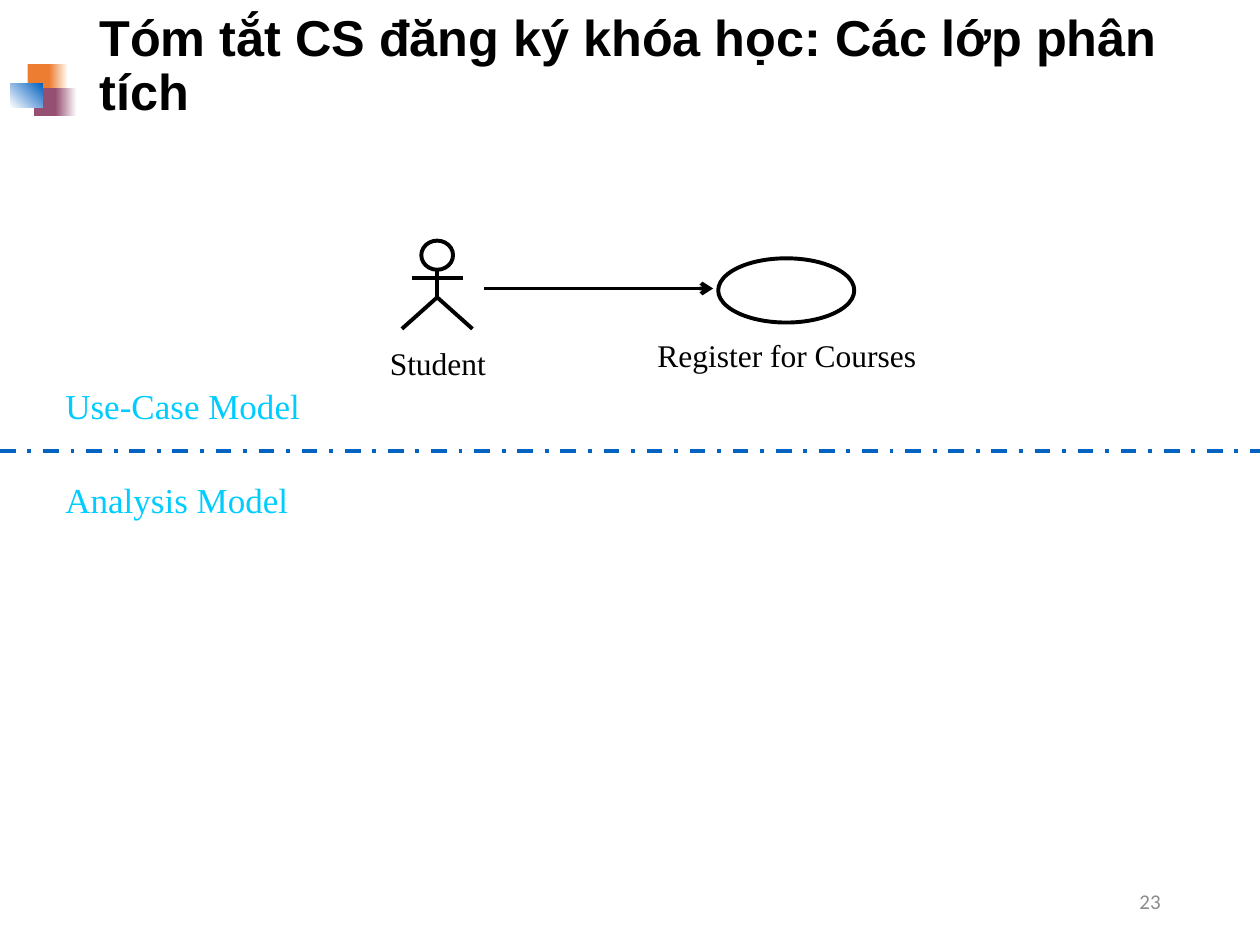
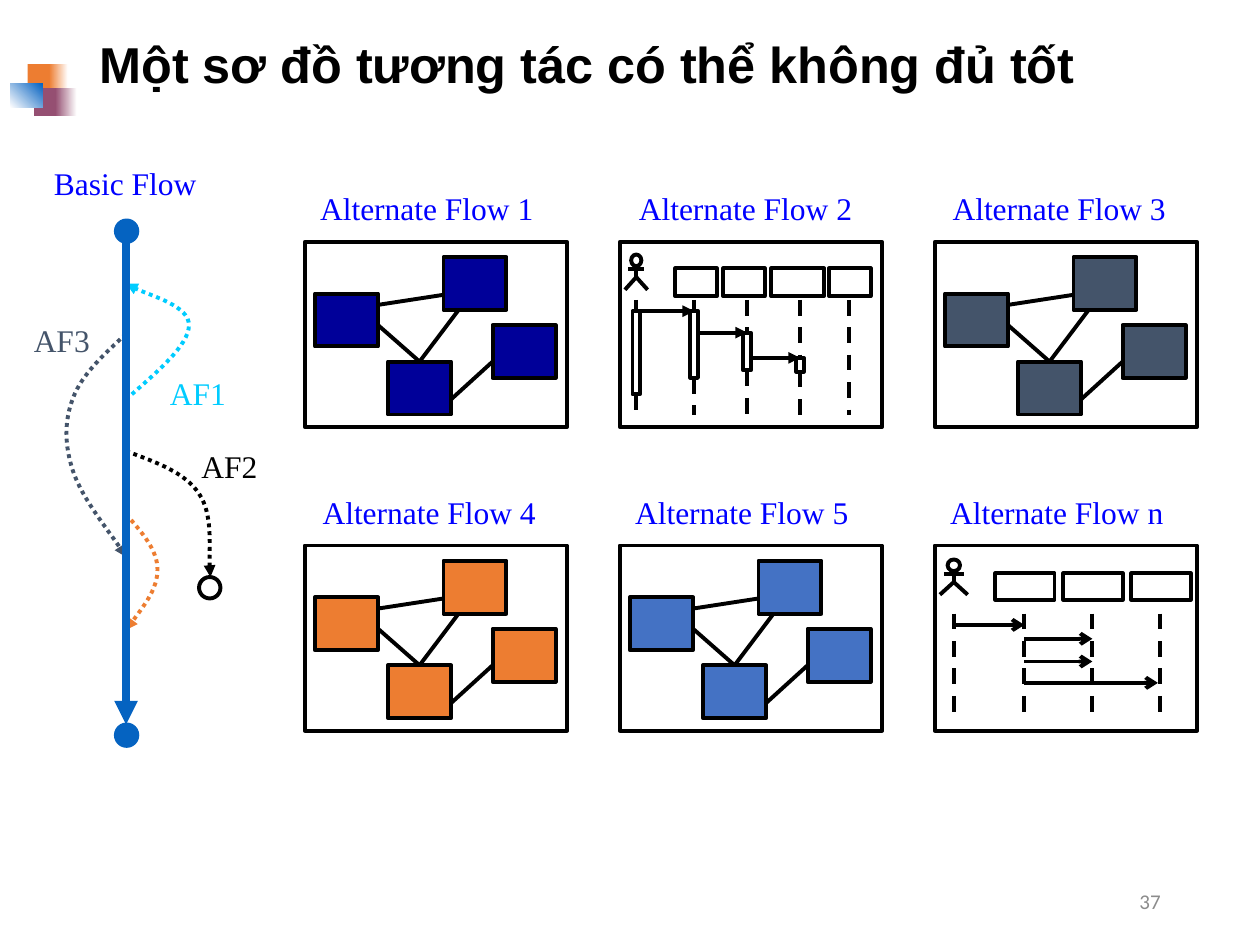
from lxml import etree
from pptx import Presentation
from pptx.dml.color import RGBColor
from pptx.enum.dml import MSO_LINE
from pptx.enum.shapes import MSO_CONNECTOR, MSO_SHAPE
from pptx.enum.text import MSO_ANCHOR, PP_ALIGN
from pptx.oxml.ns import qn
from pptx.util import Pt

RECT, OVAL = MSO_SHAPE.RECTANGLE, MSO_SHAPE.OVAL
STRAIGHT = MSO_CONNECTOR.STRAIGHT
DASH, DOTS, CHAIN = MSO_LINE.DASH, MSO_LINE.ROUND_DOT, MSO_LINE.DASH_DOT
LEFT, MID, RIGHT = PP_ALIGN.LEFT, PP_ALIGN.CENTER, PP_ALIGN.RIGHT
TOP, CENTRE = MSO_ANCHOR.TOP, MSO_ANCHOR.MIDDLE
PX = 9144
ABOVE, BELOW = 0, 2
SERIF = "Times New Roman"
INK = {
    "black": "000000", "white": "FFFFFF", "blue": "0563C1", "plum": "954F72",
    "orange": "ED7D31", "sky": "00CCFF", "label": "0000FF", "grey": "8C8C8C",
    "slate": "44546A", "navy": "000099", "steel": "4472C4",
}


def px(*sizes):
    """Turn px lengths into EMU."""
    return [round(size * PX) for size in sizes]


def tint(name):
    """Return a named colour."""
    return RGBColor.from_string(INK[name])


def put(item, **values):
    """Set each given attribute on an item."""
    for name, value in values.items():
        setattr(item, name, value)


def stroke(shape, ink="black", width=2.25, dash=None, head=None):
    """Style an outline, with an optional arrowhead at its end."""
    shape.line.color.rgb = tint(ink)
    put(shape.line, width=Pt(width), dash_style=dash)
    if head:
        ln = shape.element.spPr.find(qn("a:ln"))
        etree.SubElement(ln, qn("a:tailEnd"), type=head)


def form(slide, kind, box, fill=None, ink="black"):
    """Add a preset shape with an optional fill and outline."""
    shape = slide.shapes.add_shape(kind, *px(*box))
    shape.shadow.inherit = False
    if fill:
        shape.fill.solid()
        shape.fill.fore_color.rgb = tint(fill)
    else:
        shape.fill.background()
    if ink:
        stroke(shape, ink)
    else:
        shape.line.fill.background()
    return shape


def fade(slide, box, inks, angle=0):
    """Add a rectangle with a two-colour gradient."""
    shape = form(slide, RECT, box, ink=None)
    shape.fill.gradient()
    shape.fill.gradient_angle = angle
    for stop, ink, place in zip(shape.fill.gradient_stops, inks, (0, 1)):
        stop.color.rgb = tint(ink)
        stop.position = place


def link(slide, ends, start=None, stop=None, **style):
    """Add a straight line, joined to shapes where they are given."""
    line = slide.shapes.add_connector(STRAIGHT, *px(*ends))
    if start:
        line.begin_connect(*start)
    if stop:
        line.end_connect(*stop)
    stroke(line, **style)
    etree.SubElement(line.element.spPr, qn("a:effectLst"))


def trace(slide, points, curved=False, **style):
    """Add an open outline through points, or through Bezier controls."""
    pen = slide.shapes.build_freeform(*points[0], scale=PX)
    pen.add_line_segments(points[1:], close=False)
    shape = pen.convert_to_shape()
    shape.shadow.inherit = False
    shape.fill.background()
    if curved:
        trail = shape.element.find(".//" + qn("a:path"))
        steps = trail.findall(qn("a:lnTo"))
        for first in range(0, len(steps), 3):
            bend = etree.SubElement(trail, qn("a:cubicBezTo"))
            for step in steps[first:first + 3]:
                bend.append(step[0])
                trail.remove(step)
    stroke(shape, **style)


def text(slide, box, words, size=18, ink="black", face=SERIF, bold=False,
         align=LEFT, anchor=TOP, wrap=True, inset=True, pitch=None):
    """Add a text box with one paragraph."""
    frame = slide.shapes.add_textbox(*px(*box)).text_frame
    put(frame, word_wrap=wrap, vertical_anchor=anchor)
    if not inset:
        put(frame, margin_left=0, margin_top=0, margin_right=0, margin_bottom=0)
    para = frame.paragraphs[0]
    put(para, alignment=align, line_spacing=pitch)
    run = para.add_run()
    run.text = words
    put(run.font, size=Pt(size), name=face, bold=bold)
    run.font.color.rgb = tint(ink)


def badge(slide, x, y):
    """Draw the overlapping squares beside the title."""
    form(slide, RECT, (x + 14, y, 20, 22), "orange", None)
    fade(slide, (x + 31, y, 15, 22), ("orange", "white"))
    form(slide, RECT, (x + 19, y + 19, 19, 22), "plum", None)
    fade(slide, (x + 36, y + 19, 17, 22), ("plum", "white"))
    fade(slide, (x, y + 15, 26, 19), ("white", "blue"), 45)


def page(deck, title, number):
    """Add a slide with badge, title and number."""
    slide = deck.slides.add_slide(deck.slide_layouts[6])
    badge(slide, 8, 51)
    text(slide, (69, 13, 862, 81), title, 28.8, face="Arial", bold=True,
         anchor=CENTRE, pitch=0.9)
    text(slide, (706, 695, 225, 40), number, 12, "grey", "Calibri",
         align=RIGHT, anchor=CENTRE)
    return slide


def actor(slide, x, y, w, h):
    """Draw a stick figure that fills a box."""
    mid, neck, waist = x + w / 2, y + h * 0.33, y + h * 0.64
    arm, reach = y + h * 0.42, w * 0.36
    form(slide, OVAL, (mid - w * 0.225, y, w * 0.45, h * 0.33))
    link(slide, (mid, neck, mid, waist))
    link(slide, (mid - reach, arm, mid + reach, arm))
    trace(slide, [(x, y + h), (mid, waist), (x + w, y + h)])


def cases(slide, x, y):
    """Draw the student and the use case."""
    link(slide, (x + 92, y + 38, x + 274, y + 38), head="arrow")
    actor(slide, x + 27, y, 56, 70)
    text(slide, (x, y + 77, 111, 40), "Student", align=MID)
    form(slide, OVAL, (x + 278, y + 14, 108, 51))
    text(slide, (x + 190, y + 71, 285, 40), "Register for Courses", align=MID)


def models(slide, x, y):
    """Divide the use-case model from the analysis model."""
    for top, words in ((0, "Use-Case Model"), (75, "Analysis Model")):
        text(slide, (x, y + top, 275, 43), words, 20, "sky")
    link(slide, (0, y + 58, 1000, y + 58), ink="blue", dash=CHAIN)


def basic(slide, x, y):
    """Draw the basic flow and its branches from a top centre point."""
    bends = (
        ("slate", [(0, 90), (-17, 106), (-35, 122), (-42, 141), (-49, 159),
                   (-49, 178), (-42, 199), (-35, 220), (-7, 255), (0, 267)]),
        ("orange", [(0, 233), (12, 247), (25, 261), (25, 277),
                    (25, 292), (12, 309), (0, 325)]),
        ("sky", [(0, 142), (25, 120), (50, 99), (50, 83),
                 (50, 68), (8, 56), (0, 50)]),
        ("black", [(0, 183), (24, 192), (47, 200), (58, 217),
                   (69, 233), (65, 272), (67, 283)]),
    )
    for ink, points in bends:
        trace(slide, [(x + dx, y + dy) for dx, dy in points], True,
              ink=ink, dash=DOTS, head="triangle")
    for top in (0, 400):
        form(slide, OVAL, (x - 8, y + top, 17, 17), "blue", "blue")
    form(slide, OVAL, (x + 58, y + 283, 17, 17))
    tags = ((25, 117, 66, "AF1", "sky"), (50, 175, 66, "AF2", "black"),
            (-83, 75, 66, "AF3", "slate"), (-67, -50, 141, "Basic Flow", "label"))
    for dx, dy, w, words, ink in tags:
        text(slide, (x + dx, y + dy, w, 40), words, ink=ink, wrap=False)
    link(slide, (x, y + 17, x, y + 400), ink="blue", width=4.5, head="triangle")


def net(slide, x, y, fill):
    """Draw linked nodes in one colour."""
    spots = ((8, 41), (66, 95), (149, 66), (110, 12))
    nodes = [form(slide, RECT, (x + dx, y + dy, 50, 42), fill) for dx, dy in spots]
    hub = (nodes[1], ABOVE)
    link(slide, (x + 58, y + 66, x + 91, y + 95), stop=hub)
    link(slide, (x + 58, y + 50, x + 110, y + 42))
    link(slide, (x + 91, y + 95, x + 122, y + 54), start=hub)
    link(slide, (x + 116, y + 125, x + 149, y + 95))


def calls(slide, x, y):
    """Draw a sequence with activation bars."""
    actor(slide, x + 4, y + 10, 18, 28)
    for left, w in ((44, 33), (82, 33), (120, 42), (166, 33)):
        form(slide, RECT, (x + left, y + 21, w, 22))
    bars = []
    for mid, top, h in ((13, 55, 66), (59, 55, 53), (101, 72, 30), (143, 92, 11)):
        bar = form(slide, RECT, (x + mid - 3, y + top, 6, h))
        at = x + mid
        link(slide, (at, y + 46, at, y + top), stop=(bar, ABOVE), dash=DASH)
        link(slide, (at, y + top + h, at, y + 137), start=(bar, BELOW), dash=DASH)
        bars.append(bar)
    link(slide, (x + 182, y + 46, x + 182, y + 137), dash=DASH)
    link(slide, (x + 13, y + 55, x + 59, y + 55), (bars[0], ABOVE),
         (bars[1], ABOVE), head="triangle")
    for left, right, top, bar in ((62, 101, 72, bars[2]), (106, 143, 92, bars[3])):
        link(slide, (x + left, y + top, x + right, y + top),
             stop=(bar, ABOVE), head="triangle")


def plain(slide, x, y):
    """Draw a sequence without activation bars."""
    actor(slide, x + 4, y + 11, 22, 28)
    for col in range(3):
        form(slide, RECT, (x + 48 + 54 * col, y + 22, 47, 21))
    for mid in (15, 71, 125, 179):
        link(slide, (x + mid, y + 54, x + mid, y + 136), dash=DASH)
    for left, right, top in ((14, 71, 63), (71, 125, 74), (71, 125, 92), (71, 177, 109)):
        link(slide, (x + left, y + top, x + right, y + top), head="arrow")


def flows(slide, x, y):
    """Lay out the alternate flows in a grid of panels."""
    panels = (("1", 12, net, ["navy"]), ("2", 15, calls, []),
              ("3", 14, net, ["slate"]), ("4", 14, net, ["orange"]),
              ("5", 12, net, ["steel"]), ("n", 12, plain, []))
    for place, (name, shift, draw, inks) in enumerate(panels):
        row, col = divmod(place, 3)
        left, top = x + 250 * col, y + 241 * row
        text(slide, (left + shift, top - 42, 171, 30), f"Alternate Flow {name}",
             ink="label", wrap=False, inset=False)
        form(slide, RECT, (left, top, 208, 147))
        draw(slide, left, top, *inks)


def main():
    """Build and save the deck."""
    deck = Presentation()
    deck.slide_width, deck.slide_height = px(1000, 750)
    slide = page(deck, "Tóm tắt CS đăng ký khóa học: Các lớp phân tích", "23")
    cases(slide, 292, 191)
    models(slide, 42, 300)
    slide = page(deck, "Một sơ đồ tương tác có thể không đủ tốt", "37")
    basic(slide, 100, 175)
    flows(slide, 242, 192)
    deck.save("out.pptx")


if __name__ == "__main__":
    main()
